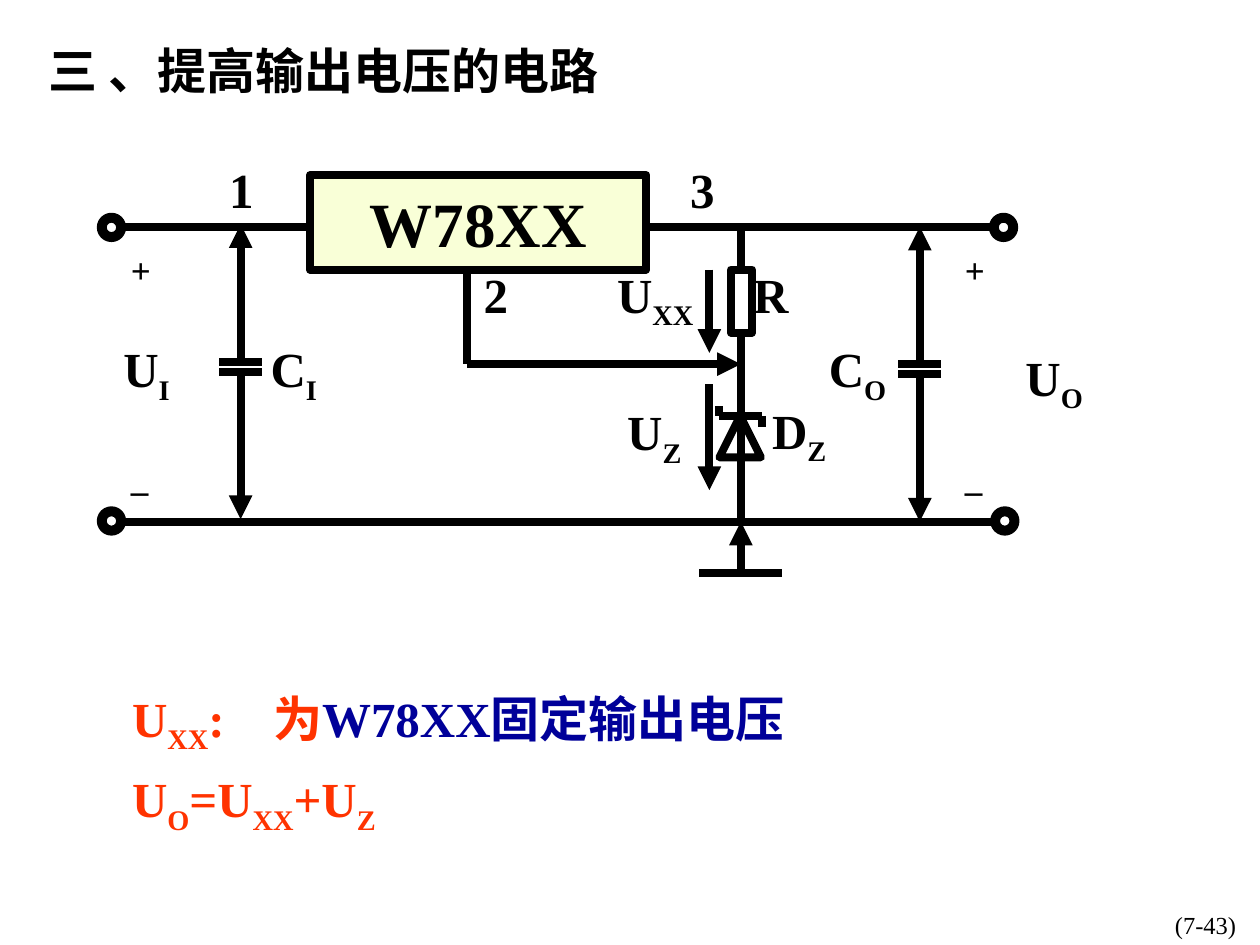
from lxml import etree
from pptx import Presentation
from pptx.dml.color import RGBColor
from pptx.enum.shapes import MSO_CONNECTOR, MSO_SHAPE
from pptx.enum.text import MSO_ANCHOR, PP_ALIGN
from pptx.oxml.ns import qn
from pptx.util import Inches, Pt

STRAIGHT = MSO_CONNECTOR.STRAIGHT
RECTANGLE = MSO_SHAPE.RECTANGLE
TRIANGLE = MSO_SHAPE.ISOSCELES_TRIANGLE
DONUT = MSO_SHAPE.DONUT
MIDDLE = MSO_ANCHOR.MIDDLE
CENTER = PP_ALIGN.CENTER
RIGHT = PP_ALIGN.RIGHT

BLACK = RGBColor(0x00, 0x00, 0x00)
CREAM = RGBColor(0xF9, 0xFF, 0xD7)
RED = RGBColor(0xFF, 0x33, 0x00)
NAVY = RGBColor(0x00, 0x00, 0x99)
FONT = "Times New Roman"
STROKE = Pt(4.5)
TOP_RAIL, BOTTOM_RAIL, BRANCH = 1.8, 4.14, 5.88

deck = Presentation()
deck.slide_width, deck.slide_height = Inches(10), Inches(7.5)
page = deck.slides.add_slide(deck.slide_layouts[6])


def write(para, pieces, size=28, bold=True, color=BLACK):
    para.font.name = FONT
    para.font.size = Pt(size)
    para.font.bold = bold
    para.font.color.rgb = color
    for index, piece in enumerate(pieces):
        span = para.add_run()
        span.text = piece
        if index % 2:
            span.font._element.set("baseline", "-25000")


def add_text(left, top, width, height, pieces, **style):
    box = page.shapes.add_textbox(Inches(left), Inches(top), Inches(width), Inches(height))
    box.text_frame.word_wrap = True
    write(box.text_frame.paragraphs[0], pieces, **style)
    return box.text_frame


page_number = add_text(7.83, 7.17, 2.08, 0.5, ["(7-43)"], size=14, bold=False)
page_number.paragraphs[0].alignment = RIGHT
add_text(0.29, 0.27, 6.38, 0.56, ["三 、提高输出电压的电路"])

wires = [
    (0.96, BOTTOM_RAIL, 7.88, BOTTOM_RAIL, ""),
    (0.96, TOP_RAIL, 2.46, TOP_RAIL, ""),
    (5.13, TOP_RAIL, 7.88, TOP_RAIL, ""),
    (3.71, 2.14, 3.71, 2.89, ""),
    (3.71, 2.89, BRANCH, 2.89, "tailEnd"),
    (BRANCH, TOP_RAIL, BRANCH, 2.14, ""),
    (BRANCH, 2.64, BRANCH, BOTTOM_RAIL, ""),
    (BRANCH, BOTTOM_RAIL, BRANCH, 4.55, "headEnd"),
    (5.55, 4.55, 6.21, 4.55, ""),
    (5.71, 3.3, 6.05, 3.3, ""),
    (5.71, 3.3, 5.71, 3.22, ""),
    (6.05, 3.3, 6.05, 3.39, ""),
    (5.63, 2.14, 5.63, 2.8, "tailEnd"),
    (5.63, 3.05, 5.63, 3.89, "tailEnd"),
]
for x, shift in [(1.91, -0.02), (7.3, 0)]:
    upper_plate, lower_plate = 2.89 + shift, 2.97 + shift
    wires += [
        (x, TOP_RAIL + shift, x, upper_plate, "headEnd"),
        (x, lower_plate, x, BOTTOM_RAIL + shift, "tailEnd"),
        (x - 0.17, upper_plate, x + 0.17, upper_plate, ""),
        (x - 0.17, lower_plate, x + 0.17, lower_plate, ""),
    ]

for x1, y1, x2, y2, arrow in wires:
    wire = page.shapes.add_connector(STRAIGHT, Inches(x1), Inches(y1), Inches(x2), Inches(y2))
    wire.line.color.rgb = BLACK
    wire.line.width = STROKE
    properties = wire._element.spPr
    if arrow:
        etree.SubElement(properties.find(qn("a:ln")), qn(f"a:{arrow}"), type="triangle")
    etree.SubElement(properties, qn("a:effectLst"))

parts = [
    (RECTANGLE, 2.46, 1.39, 2.67, 0.75),
    (RECTANGLE, 5.8, 2.14, 0.17, 0.5),
    (TRIANGLE, 5.71, 3.3, 0.33, 0.33),
    (DONUT, 0.8, 1.72, 0.17, 0.17),
    (DONUT, 7.88, 1.72, 0.17, 0.17),
    (DONUT, 0.8, 4.05, 0.17, 0.17),
    (DONUT, 7.89, 4.05, 0.17, 0.17),
]
for kind, left, top, width, height in parts:
    part = page.shapes.add_shape(kind, Inches(left), Inches(top), Inches(width), Inches(height))
    part.shadow.inherit = False
    part.line.color.rgb = BLACK
    part.line.width = STROKE
    part.fill.background()
    if kind == DONUT:
        part.adjustments[0] = 0.09
    if width > 1:
        part.fill.solid()
        part.fill.fore_color.rgb = CREAM
        part.text_frame.vertical_anchor = MIDDLE
        regulator = part.text_frame.paragraphs[0]
        regulator.alignment = CENTER
        write(regulator, ["W78XX"], size=36)

labels = [
    (1.72, 1.22, 0.4, ["1"]),
    (5.38, 1.22, 0.4, ["3"]),
    (3.74, 2.05, 0.4, ["2"]),
    (5.88, 2.05, 0.5, ["R"]),
    (0.88, 2.64, 0.95, ["U", "I"]),
    (2.05, 2.64, 1.17, ["C", "I"]),
    (6.48, 2.64, 0.67, ["C", "O"]),
    (8.04, 2.71, 1.11, ["U", "O"]),
    (4.8, 2.05, 0.86, ["U", "XX"]),
    (4.88, 3.14, 0.87, ["U", "Z"]),
    (6.03, 3.13, 0.96, ["D", "Z"]),
]
for left, top, width, pieces in labels:
    add_text(left, top, width, 0.63 if len(pieces) > 1 else 0.57, pieces)

for left in (0.94, 7.56):
    polarity = add_text(left, 1.69, 0.37, 2.37, ["+"], size=20)
    minus = polarity.add_paragraph()
    write(minus, ["_"], size=20)
    minus.space_before = Pt(78)
    for para in polarity.paragraphs:
        para.line_spacing = 1.7

notes = page.shapes.add_textbox(Inches(0.95), Inches(5.31), Inches(5.44), Inches(1.94)).text_frame
notes.word_wrap = True
meaning = notes.paragraphs[0]
tabs = etree.SubElement(meaning._p.get_or_add_pPr(), qn("a:tabLst"))
etree.SubElement(tabs, qn("a:tab"), pos=str(Inches(1.12)), algn="l")
write(meaning, ["U", "XX", ":\t为"], color=RED)
span = meaning.add_run()
span.text = "W78XX固定输出电压"
span.font.color.rgb = NAVY
write(notes.add_paragraph(), ["U", "O", "=U", "XX", "+U", "Z"], color=RED)
for para in notes.paragraphs:
    para.line_spacing = 1.2

deck.save("out.pptx")
